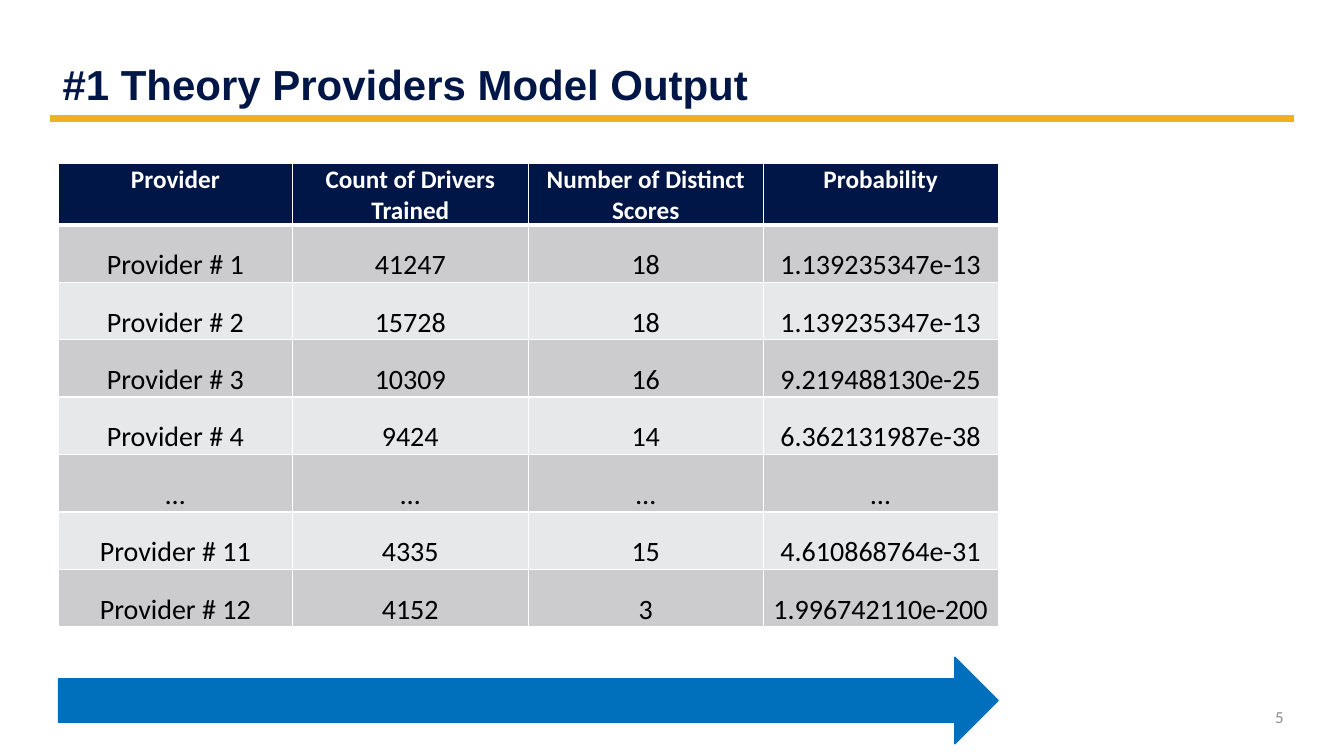
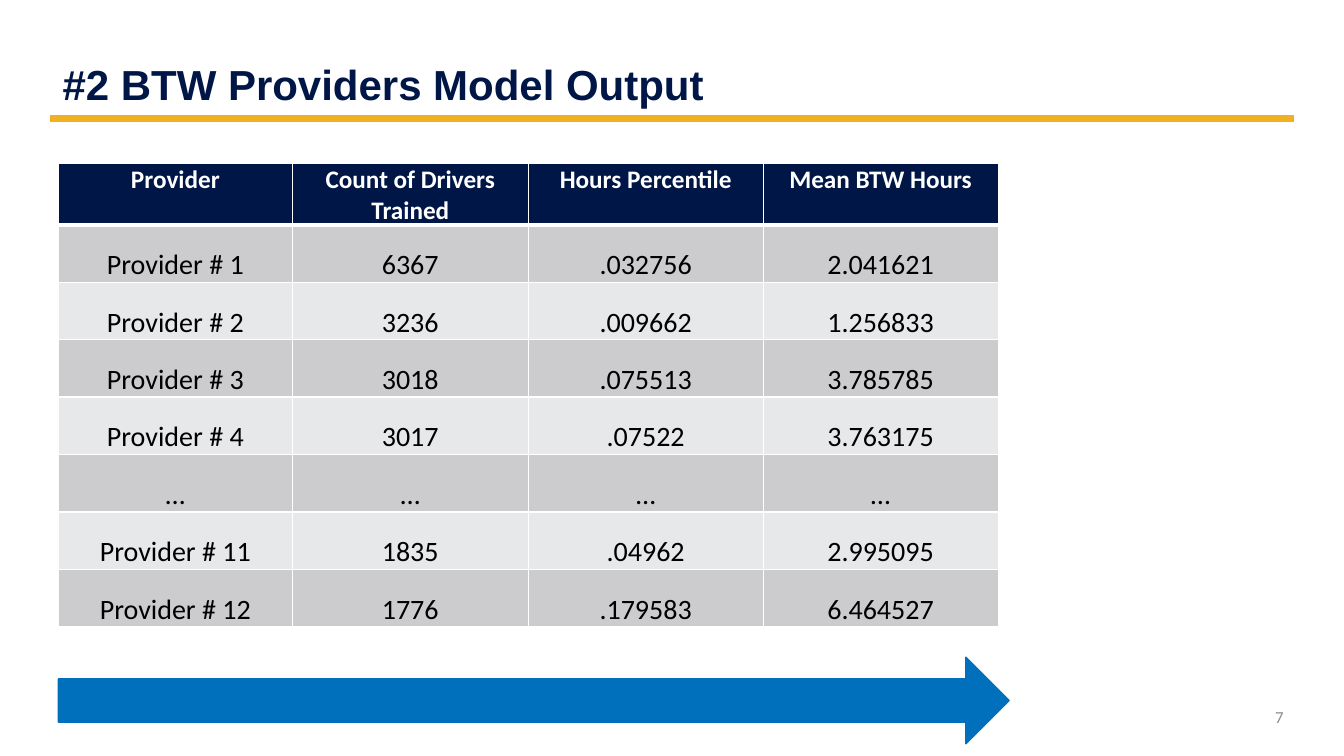
from dataclasses import dataclass

from lxml.etree import SubElement
from pptx import Presentation
from pptx.dml.color import RGBColor
from pptx.enum.shapes import MSO_CONNECTOR, MSO_SHAPE
from pptx.enum.text import MSO_ANCHOR, MSO_AUTO_SIZE, PP_ALIGN
from pptx.oxml import parse_xml
from pptx.oxml.ns import nsdecls, qn
from pptx.util import Inches, Pt


@dataclass(frozen=True)
class Theme:
    navy: str = "001647"
    gold: str = "F1B01F"
    blue: str = "0070BD"
    white: str = "FFFFFF"
    black: str = "000000"
    grey: str = "8C8C8C"
    bands: tuple = ("CCCCCF", "E7E8E9")
    title_font: str = "Arial"
    body_font: str = "Calibri"
    title_size: int = 30
    header_size: int = 18
    cell_size: int = 20
    number_size: int = 12


def set_attrs(obj, values):
    for name, value in values.items():
        setattr(obj, name, value)


class Deck:
    def __init__(self, theme):
        self.theme = theme
        self.prs = Presentation()
        set_attrs(self.prs, {"slide_width": Inches(13.33), "slide_height": Inches(7.5)})

    def add_text(self, tf, text, font, size, color, bold=False, align=PP_ALIGN.LEFT):
        p = tf.paragraphs[0]
        p.alignment = align
        r = p.add_run()
        r.text = text
        set_attrs(r.font, {"name": font, "size": Pt(size), "bold": bold})
        r.font.color.rgb = RGBColor.from_string(color)
        return p

    def slide(self, title, number):
        self.s = self.prs.slides.add_slide(self.prs.slide_layouts[5])
        self.rule()
        self.title(title)
        self.page_number(number)

    # Gold rule under the title
    def rule(self):
        line = self.s.shapes.add_connector(
            MSO_CONNECTOR.STRAIGHT, Inches(0.5), Inches(1.18), Inches(12.83), Inches(1.18))
        line.line.color.rgb = RGBColor.from_string(self.theme.gold)
        line.line.width = Pt(5)
        SubElement(line._element.spPr, qn("a:effectLst"))

    def title(self, text):
        t = self.theme
        sp = self.s.shapes.title
        set_attrs(sp, {"left": Inches(0.5), "top": Inches(0.14),
                       "width": Inches(12.33), "height": Inches(1)})
        tf = sp.text_frame
        set_attrs(tf, {"auto_size": MSO_AUTO_SIZE.NONE, "word_wrap": True,
                       "vertical_anchor": MSO_ANCHOR.BOTTOM, "margin_left": Inches(0.12)})
        p = self.add_text(tf, text, t.title_font, t.title_size, t.navy, bold=True)
        p.line_spacing = 0.9

    def page_number(self, number):
        t = self.theme
        sp = self.s.shapes.add_textbox(Inches(9.83), Inches(6.91), Inches(3), Inches(0.4))
        set_attrs(sp.text_frame, {"word_wrap": True, "vertical_anchor": MSO_ANCHOR.MIDDLE})
        self.add_text(sp.text_frame, str(number), t.body_font, t.number_size, t.grey,
                      align=PP_ALIGN.RIGHT)

    def arrow(self, width):
        sp = self.s.shapes.add_shape(
            MSO_SHAPE.RIGHT_ARROW, Inches(0.58), Inches(6.52), Inches(width), Inches(0.86))
        sp.shadow.inherit = False
        sp.fill.solid()
        for color in (sp.fill.fore_color, sp.line.color):
            color.rgb = RGBColor.from_string(self.theme.blue)
        sp.line.width = Pt(1)

    def table(self, rows):
        widths = (2.32, 2.34, 2.33, 2.33)
        row_height = 0.57
        table = self.s.shapes.add_table(
            len(rows), len(widths), Inches(0.58), Inches(1.62),
            Inches(sum(widths)), Inches(row_height * len(rows))).table
        for column, width in zip(table.columns, widths):
            column.width = Inches(width)
        for i, row in enumerate(rows):
            table.rows[i].height = Inches(row_height)
            for j, text in enumerate(row):
                self.cell(table.cell(i, j), text, i)

    def cell(self, cell, text, row):
        t = self.theme
        header = row == 0
        set_attrs(cell, {
            "margin_left": Inches(0.01), "margin_right": Inches(0.01),
            "margin_top": Inches(0.01), "margin_bottom": 0,
            "vertical_anchor": MSO_ANCHOR.TOP if header else MSO_ANCHOR.BOTTOM})
        cell.fill.solid()
        cell.fill.fore_color.rgb = RGBColor.from_string(
            t.navy if header else t.bands[(row - 1) % 2])
        self.add_text(cell.text_frame, text, t.body_font,
                      t.header_size if header else t.cell_size,
                      t.white if header else t.black, bold=header, align=PP_ALIGN.CENTER)
        # White borders, heavier between header and body
        widths = {"lnL": 1, "lnR": 1, "lnT": 3 if row == 1 else 1, "lnB": 3 if header else 1}
        tc_pr = cell._tc.get_or_add_tcPr()
        for i, (side, width) in enumerate(widths.items()):
            tc_pr.insert(i, parse_xml(
                f'<a:{side} {nsdecls("a")} w="{Pt(width)}"><a:solidFill>'
                f'<a:srgbClr val="{t.white}"/></a:solidFill></a:{side}>'))


PROVIDERS = [f"Provider # {n}" for n in (1, 2, 3, 4)] + ["…"] + [
    f"Provider # {n}" for n in (11, 12)]

# Title, page number, arrow width, measure headings, measures per provider
OUTPUTS = [
    ("#1 Theory Providers Model Output", 5, 9.32,
     ("Number of Distinct Scores", "Probability"),
     [("41247", "18", "1.139235347e-13"),
      ("15728", "18", "1.139235347e-13"),
      ("10309", "16", "9.219488130e-25"),
      ("9424", "14", "6.362131987e-38"),
      ("…", "…", "…"),
      ("4335", "15", "4.610868764e-31"),
      ("4152", "3", "1.996742110e-200")]),
    ("#2 BTW Providers Model Output", 7, 9.43,
     ("Hours Percentile", "Mean BTW Hours"),
     [("6367", ".032756", "2.041621"),
      ("3236", ".009662", "1.256833"),
      ("3018", ".075513", "3.785785"),
      ("3017", ".07522", "3.763175"),
      ("…", "…", "…"),
      ("1835", ".04962", "2.995095"),
      ("1776", ".179583", "6.464527")]),
]


def main():
    deck = Deck(Theme())
    for title, number, arrow_width, headings, measures in OUTPUTS:
        deck.slide(title, number)
        deck.arrow(arrow_width)
        deck.table([("Provider", "Count of Drivers Trained", *headings)]
                   + [(name, *values) for name, values in zip(PROVIDERS, measures)])
    deck.prs.save("out.pptx")


if __name__ == "__main__":
    main()
